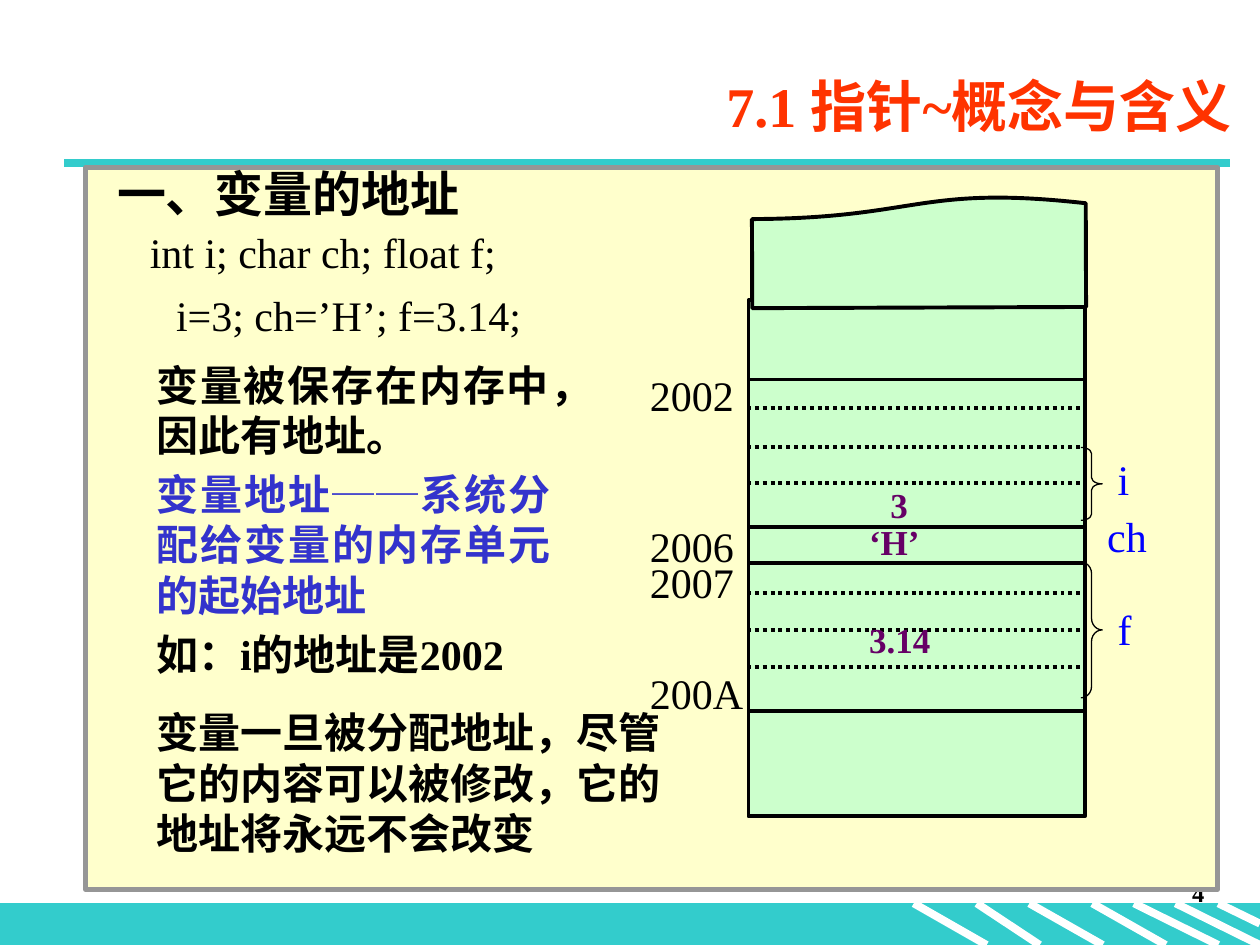
from lxml import etree
from pptx import Presentation
from pptx.dml.color import RGBColor
from pptx.enum.dml import MSO_LINE
from pptx.enum.shapes import MSO_CONNECTOR, MSO_SHAPE as Preset
from pptx.enum.text import MSO_ANCHOR as Anchor, PP_ALIGN as Align
from pptx.oxml.ns import qn
from pptx.util import Cm, Pt

COLORS = {
    "teal": "33CCCC", "white": "FFFFFF", "black": "000000", "cream": "FFFFCC",
    "gray": "969696", "mint": "CCFFCC", "indigo": "3333CC", "blue": "0000FF",
    "purple": "660066", "orange": "FF3300",
}

deck = Presentation()
deck.slide_width, deck.slide_height = Cm(25.4), Cm(19.05)
page = deck.slides.add_slide(deck.slide_layouts[6])


def add_text(area, lines, size=24, bold=False, align=Align.LEFT, anchor=Anchor.TOP):
    box = page.shapes.add_textbox(*map(Cm, area))
    frame = box.text_frame
    frame.word_wrap = True
    frame.vertical_anchor = anchor
    for index, (words, color) in enumerate(lines):
        para = frame.add_paragraph() if index else frame.paragraphs[0]
        para.alignment = align
        if index:
            para.space_before = Pt(4.8)
        span = para.add_run()
        span.text = words
        span.font.name = "Times New Roman"
        span.font.size = Pt(size)
        span.font.bold = bold
        span.font.color.rgb = RGBColor.from_string(COLORS[color])
        east = etree.SubElement(span.font._element, qn("a:ea"))
        east.set("typeface", "Noto Sans CJK SC")


def add_line(start, end, color="black", width=2.25, dash=None):
    line = page.shapes.add_connector(MSO_CONNECTOR.STRAIGHT, *map(Cm, start + end))
    line.line.color.rgb = RGBColor.from_string(COLORS[color])
    line.line.width = Pt(width)
    if dash:
        line.line.dash_style = dash
    etree.SubElement(line._element.spPr, qn("a:effectLst"))


footer = page.shapes.add_shape(Preset.RECTANGLE, Cm(0), Cm(18.21), Cm(25.4), Cm(0.84))
panel_area = (1.73, 3.38, 22.81, 14.55)

for left, right, bottom in [
    (18.42, 19.89, 19.05), (19.69, 20.96, 19.05), (20.75, 22.23, 19.05),
    (22.02, 23.5, 19.05), (22.86, 24.56, 19.05), (23.7, 25.4, 19.05),
    (24.56, 25.4, 18.62),
]:
    add_line((left, 18.21), (right, bottom), "white", 4.5)
add_line((1.3, 3.28), (24.79, 3.28), "teal", 4.5)
add_text((19.25, 17.58, 5.28, 1.27), [("4", "black")], 14, True, Align.RIGHT)

panel = page.shapes.add_shape(Preset.RECTANGLE, *map(Cm, panel_area))
memory = page.shapes.add_shape(Preset.RECTANGLE, Cm(15.09), Cm(6.05), Cm(6.78), Cm(10.41))
torn_top = page.shapes.add_shape(
    Preset.FLOWCHART_DOCUMENT, Cm(15.16), Cm(3.96), Cm(6.73), Cm(2.24))
torn_top.rotation = 179.8
float_brace = page.shapes.add_shape(
    Preset.RIGHT_BRACE, Cm(21.79), Cm(11.33), Cm(0.43), Cm(2.74))
float_brace.adjustments[0] = 0.54
int_brace = page.shapes.add_shape(
    Preset.RIGHT_BRACE, Cm(21.79), Cm(9.02), Cm(0.43), Cm(1.47))
int_brace.adjustments[0] = 0.29

for shape, fill, outline, width in [
    (footer, "teal", "teal", 0.75), (panel, "cream", "gray", 3),
    (memory, "mint", "black", 2.25), (torn_top, "mint", "black", 2.25),
    (float_brace, None, "black", 0.75), (int_brace, None, "black", 0.75),
]:
    shape.shadow.inherit = False
    if fill:
        shape.fill.solid()
        shape.fill.fore_color.rgb = RGBColor.from_string(COLORS[fill])
    else:
        shape.fill.background()
    shape.line.color.rgb = RGBColor.from_string(COLORS[outline])
    shape.line.width = Pt(width)

for height in (7.65, 10.62, 11.35, 14.33):
    add_line((15.11, height), (21.84, height))
for height in (8.23, 9.02, 9.73, 11.96, 12.7, 13.44):
    add_line((15.06, height), (21.79, height), dash=MSO_LINE.ROUND_DOT)

add_text((3.5, 1.12, 21.59, 2.01), [("7.1 指针~概念与含义", "orange")],
         32, True, Align.RIGHT, Anchor.MIDDLE)
add_text((2.11, 3.18, 8.26, 1.37), [("一、变量的地址", "black")], 28, True)
add_text((2.77, 4.45, 10.06, 1.22), [("int i; char ch; float f;", "black")])
add_text((3.3, 5.72, 8.46, 1.27), [("i=3; ch=’H’; f=3.14;", "black")])
add_text((2.9, 7.12, 8.46, 6.77), [
    ("变量被保存在内存中，因此有地址。", "black"),
    ("变量地址──系统分配给变量的内存单元的起始地址", "indigo"),
    ("如：i的地址是2002", "black"),
], bold=True, align=Align.JUSTIFY)
add_text((2.9, 14.12, 10.8, 3.33),
         [("变量一旦被分配地址，尽管它的内容可以被修改，它的地址将永远不会改变", "black")],
         bold=True)

for address, top in [("2002", 7.32), ("2006", 10.36), ("2007", 11.1), ("200A", 13.34)]:
    add_text((12.85, top, 2.59, 1.27), [(address, "black")])
for name, left, top, width in [
    ("i", 22.28, 9.02, 0.84), ("ch", 22.07, 10.16, 1.47), ("f", 22.28, 12.04, 0.84),
]:
    add_text((left, top, width, 1.27), [(name, "blue")])
for value, left, top in [("3", 17.7, 9.63), ("‘H’", 17.27, 10.36), ("3.14", 17.27, 12.34)]:
    add_text((left, top, 2.34, 1.09), [(value, "purple")], 20, True)

deck.save("out.pptx")
